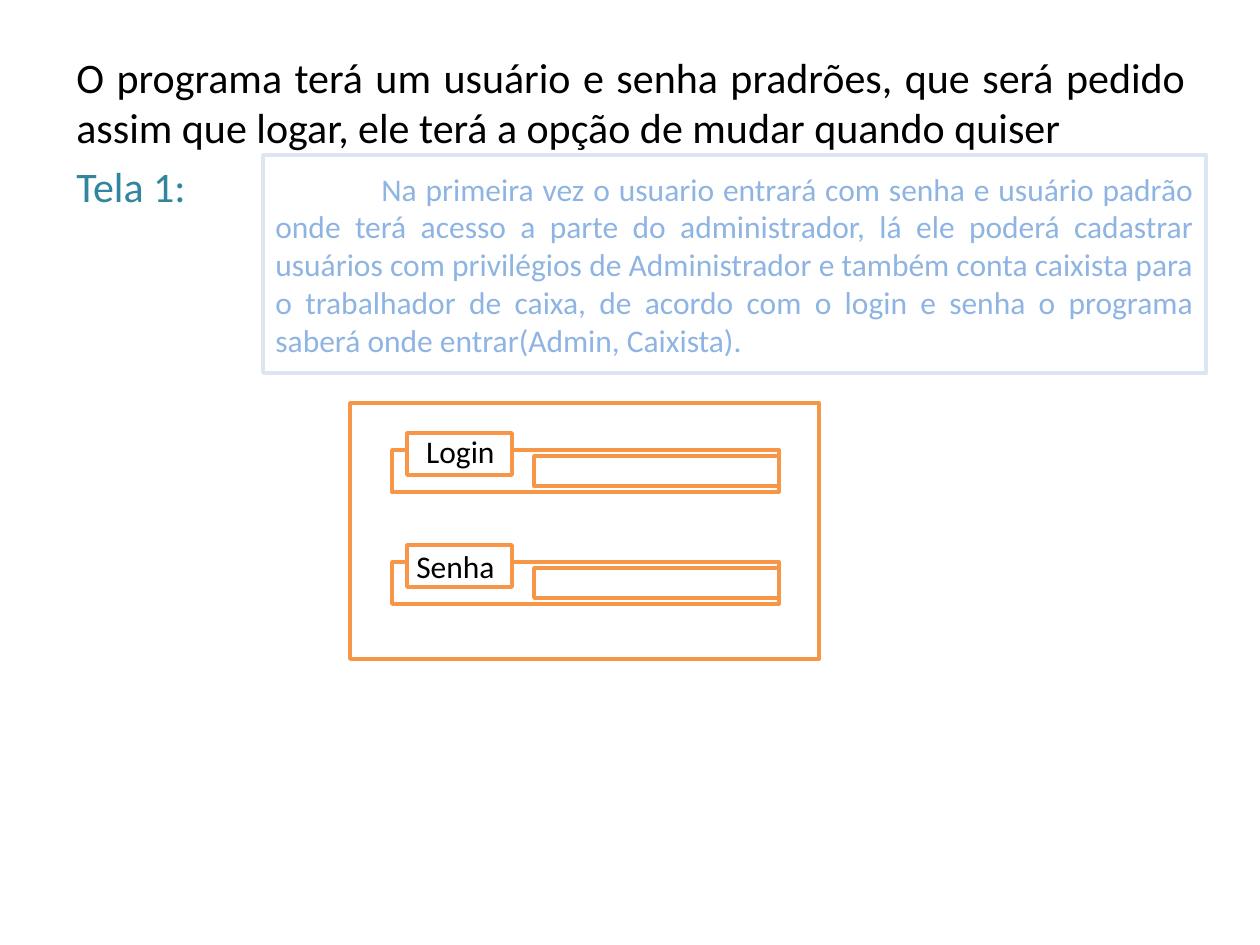
"""Build the login screen slide with its explanation of default credentials."""
import pptx
import pptx.dml.color
import pptx.enum.shapes
import pptx.enum.text
import pptx.util

SCALE = 914400 / 126
ALIGN = pptx.enum.text.PP_ALIGN
ORANGE = "F79646"


def color(value):
    return pptx.dml.color.RGBColor.from_string(value)


def write(frame, text, size=18, ink="000000", align=ALIGN.JUSTIFY, before=0, first=False):
    paragraph = frame.paragraphs[0] if first else frame.add_paragraph()
    paragraph.alignment = align
    paragraph.space_before = pptx.util.Pt(before)
    span = paragraph.add_run()
    span.text = text
    span.font.name = "Calibri"
    span.font.size = pptx.util.Pt(size)
    span.font.color.rgb = color(ink)
    return paragraph


deck = pptx.Presentation()
deck.slide_width = round(1260 * SCALE)
deck.slide_height = round(945 * SCALE)
page = deck.slides.add_slide(deck.slide_layouts[6])

heading = page.shapes.add_textbox(*[round(v * SCALE) for v in (64, 45, 1134, 169)])
heading.text_frame.word_wrap = True
write(
    heading.text_frame,
    "O programa terá um usuário e senha pradrões, que será pedido assim que logar, "
    "ele terá a opção de mudar quando quiser",
    size=24, before=4.8, first=True,
)
write(heading.text_frame, "Tela 1:", size=24, ink="31859C", before=4.8)

window = (350, 403, 469, 256)
fields = [(392, top, 387, 42) for top in (450, 562)]
explanation = (263, 155, 943, 218)
labels = [(407, top - 17, 105, 42) for _, top, _, _ in fields]
inputs = [(534, top + 6, 245, 30) for _, top, _, _ in fields]

for bounds in [window, *fields, explanation, *labels, *inputs]:
    box = page.shapes.add_shape(
        pptx.enum.shapes.MSO_SHAPE.RECTANGLE, *[round(v * SCALE) for v in bounds]
    )
    box.shadow.inherit = False
    box.fill.solid()
    box.fill.fore_color.rgb = color("FFFFFF")
    box.line.color.rgb = color("DCE6F2" if bounds == explanation else ORANGE)
    box.line.width = pptx.util.Pt(2)
    if bounds == explanation:
        box.text_frame.word_wrap = True
        box.text_frame.vertical_anchor = pptx.enum.text.MSO_ANCHOR.MIDDLE
        paragraph = write(
            box.text_frame,
            "Na primeira vez o usuario entrará com senha e usuário padrão onde terá acesso "
            "a parte do administrador, lá ele poderá cadastrar usuários com privilégios de "
            "Administrador e também conta caixista para o trabalhador de caixa, de acordo "
            "com o login e senha o programa saberá onde entrar(Admin, Caixista).",
            ink="8EB4E3", first=True,
        )
        properties = paragraph._p.get_or_add_pPr()
        properties.set("marL", "0")
        properties.set("indent", str(round(106 * SCALE)))

captions = page.shapes.add_textbox(*[round(v * SCALE) for v in (402, 426, 105, 165)])
captions.text_frame.word_wrap = False
captions.text_frame.auto_size = pptx.enum.text.MSO_AUTO_SIZE.SHAPE_TO_FIT_TEXT
write(captions.text_frame, "Login", align=ALIGN.RIGHT, first=True)
write(captions.text_frame, "Senha", align=ALIGN.RIGHT, before=44)

deck.save("out.pptx")
